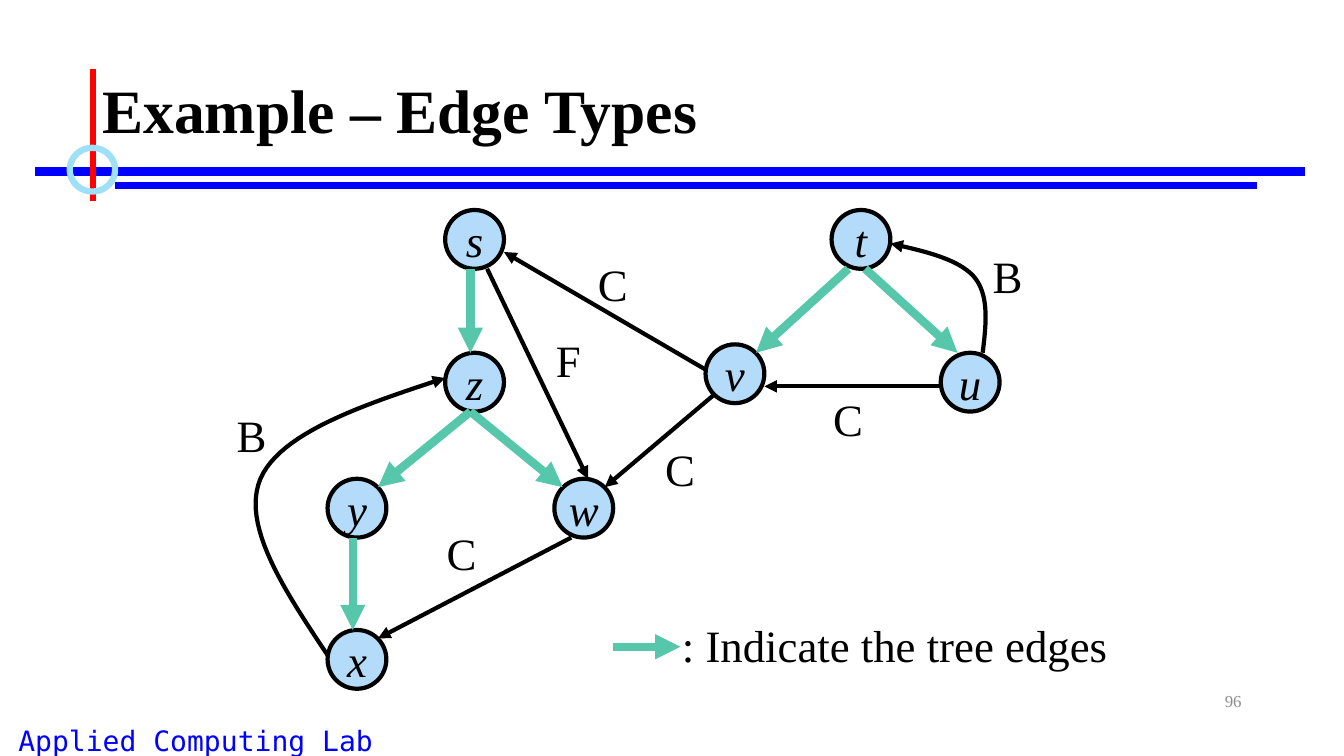
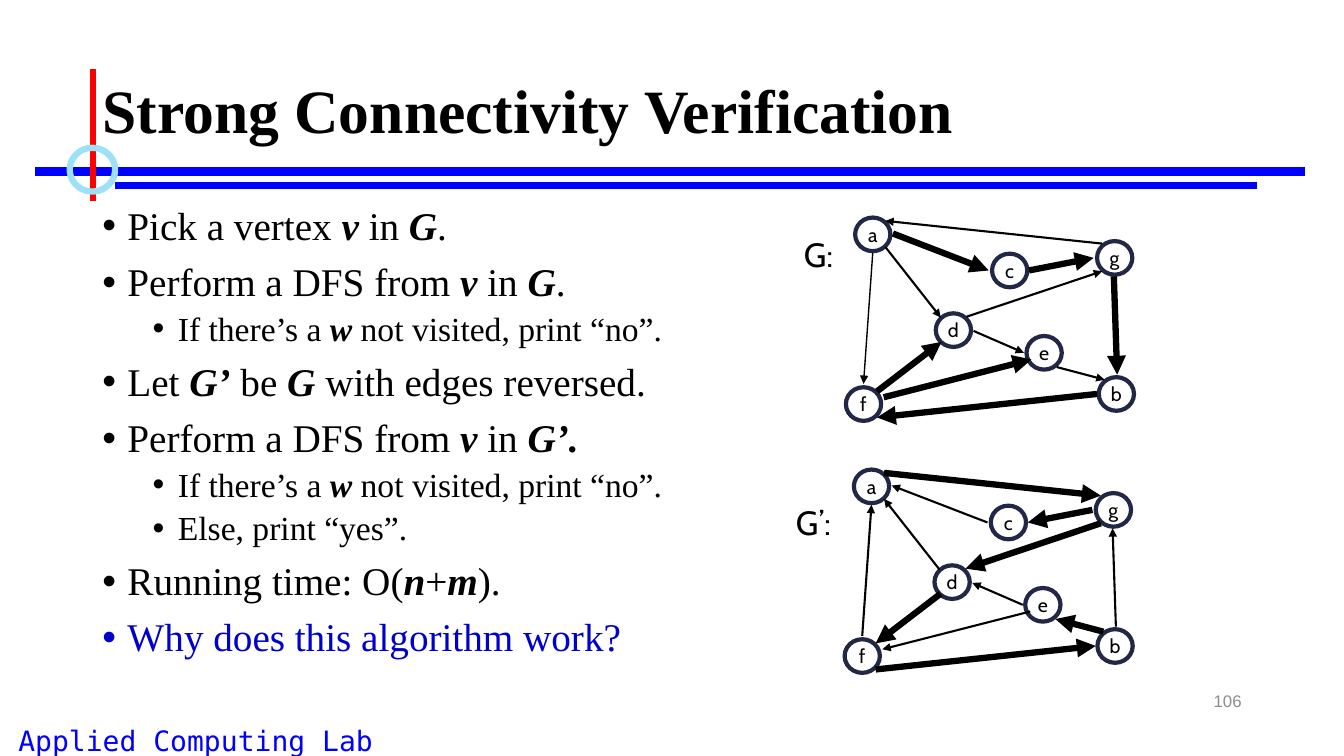
from dataclasses import dataclass

from lxml import etree
from pptx import Presentation
from pptx import util as u
from pptx.dml.color import RGBColor
from pptx.enum import shapes, text
from pptx.oxml.ns import qn


@dataclass(frozen=True)
class Theme:
    # Colours
    black: str = "000000"
    white: str = "FFFFFF"
    blue: str = "0000FF"
    red: str = "FF0000"
    ring: str = "9EE0F8"
    grey: str = "8C8C8C"
    question: str = "0000CC"
    node: str = "B4DCFA"
    tree: str = "56C7AA"
    outline: str = "212745"
    # Fonts
    serif: str = "Times New Roman"
    sans: str = "Arial"
    mono: str = "DejaVu Sans Mono"
    graph: str = "Cabin"
    # Type sizes, points
    title: int = 44
    label: int = 32
    body: int = 28
    sub: int = 24
    footer: int = 20
    small: int = 14
    number: int = 12
    # Line widths, points
    thick: float = 6
    heavy: float = 4.5
    edge: float = 3
    light: float = 1.5
    hair: float = 1


T = Theme()
COLS, ROWS = 160, 90              # grid of the slide
CELL = u.Inches(7.5) / ROWS       # one square cell
LEFT, CENTER, RIGHT = (text.PP_ALIGN.LEFT, text.PP_ALIGN.CENTER,
                       text.PP_ALIGN.RIGHT)
TOP, MIDDLE = text.MSO_ANCHOR.TOP, text.MSO_ANCHOR.MIDDLE


def grid(*cells):
    """Grid cells to slide lengths."""
    return [u.Emu(round(c * CELL)) for c in cells]


# ---- Formatting ----

def set_font(font, color=T.black, **fmt):
    for name, value in fmt.items():
        setattr(font, name, u.Pt(value) if name == "size" else value)
    font.color.rgb = RGBColor.from_string(color)


def set_line(line, color, width, arrow=False):
    line.color.rgb = RGBColor.from_string(color)
    line.width = u.Pt(width)
    if arrow:
        etree.SubElement(line._get_or_add_ln(), qn("a:tailEnd"),
                         type="triangle")


def set_frame(tf, anchor=TOP, wrap=True, fit=False):
    tf.word_wrap = wrap
    tf.vertical_anchor = anchor
    if fit:
        tf.auto_size = text.MSO_AUTO_SIZE.SHAPE_TO_FIT_TEXT


def write(p, words, align=LEFT, **fmt):
    p.alignment = align
    r = p.add_run()
    r.text = words
    set_font(r.font, **fmt)


# ---- Kinds of element ----

def add_label(s, box, words, align=LEFT, anchor=TOP, wrap=False, fit=True,
              spacing=None, **fmt):
    tf = s.shapes.add_textbox(*grid(*box)).text_frame
    set_frame(tf, anchor, wrap, fit)
    p = tf.paragraphs[0]
    p.line_spacing = spacing
    write(p, words, align, **fmt)


def add_ellipse(s, box, line, width, fill=None):
    sp = s.shapes.add_shape(shapes.MSO_SHAPE.OVAL, *grid(*box))
    sp.shadow.inherit = False
    if fill:
        sp.fill.solid()
        sp.fill.fore_color.rgb = RGBColor.from_string(fill)
    else:
        sp.fill.background()
    set_line(sp.line, line, width)
    return sp


def add_node(s, box, vertex, line, fill, **fmt):
    tf = add_ellipse(s, box, line, T.edge, fill).text_frame
    set_frame(tf, MIDDLE, wrap=False)
    write(tf.paragraphs[0], vertex, CENTER, **fmt)


def add_line(s, start, end, color, width, arrow=False):
    c = s.shapes.add_connector(shapes.MSO_CONNECTOR.STRAIGHT,
                               *grid(*start, *end))
    set_line(c.line, color, width, arrow)
    etree.SubElement(c._element.spPr, qn("a:effectLst"))


def bezier(a, b, c, d, steps=24):
    """Points after a on the cubic curve from a to d."""
    for i in range(1, steps + 1):
        t = i / steps
        weights = (1 - t) ** 3, 3 * t * (1 - t) ** 2, 3 * t * t * (1 - t), t ** 3
        yield grid(*(sum(w * v for w, v in zip(weights, axis))
                     for axis in zip(a, b, c, d)))


def add_curve(s, points):
    builder = s.shapes.build_freeform(*grid(*points[0]))
    for i in range(0, len(points) - 1, 3):
        builder.add_line_segments(bezier(*points[i:i + 4]), close=False)
    sp = builder.convert_to_shape()
    sp.shadow.inherit = False
    sp.fill.background()
    set_line(sp.line, T.black, T.edge, arrow=True)


def add_bullets(s, box, items):
    """Items are (level, words, colour); *stars* mark bold italic words."""
    tf = s.shapes.add_textbox(*grid(*box)).text_frame
    set_frame(tf)
    for i, (level, words, color) in enumerate(items):
        p = tf.add_paragraph() if i else tf.paragraphs[0]
        pPr = p._p.get_or_add_pPr()
        pPr.set("marL", str(u.Inches(0.25 + 0.5 * level)))
        pPr.set("indent", str(-u.Inches(0.25)))
        etree.SubElement(pPr, qn("a:buFont"), typeface=T.sans)
        etree.SubElement(pPr, qn("a:buChar"), char="•")
        p.level = level
        p.line_spacing = 0.9
        p.space_before = u.Pt((5 if level else 10) if i else 0)
        for j, part in enumerate(words.split("*")):
            if part:
                strong = j % 2 == 1
                write(p, part, color=color, name=T.serif, bold=strong,
                      italic=strong, size=T.sub if level else T.body)


def add_base(prs, title, number, number_font):
    """New slide with the shared rules, footer, number and title."""
    s = prs.slides.add_slide(prs.slide_layouts[6])
    add_label(s, (1, 85.5, 48, 4.5), "Applied Computing Lab", fit=False,
              name=T.mono, size=T.footer, color=T.blue)
    for start, end, color, width in (
            ((4.2, 20.4), (155.4, 20.4), T.blue, T.thick),
            ((13.7, 22.1), (149.6, 22.1), T.blue, T.heavy),
            ((11.1, 8.2), (11.1, 23.9), T.red, T.heavy)):
        add_line(s, start, end, color, width)
    add_ellipse(s, (8.3, 17.6, 5.4, 5.2), T.ring, T.heavy)
    add_label(s, (113, 81, 36, 4.8), number, RIGHT, MIDDLE, True, False,
              name=number_font, size=T.number, color=T.grey)
    add_label(s, (11, 4.8, 138, 17.4), title, LEFT, MIDDLE, True, False, 0.9,
              name=T.serif, size=T.title, bold=True)
    return s


# ---- Edge types ----

VERTICES = {"s": (53, 25), "t": (99, 25), "z": (53, 42), "y": (39, 57),
            "w": (66, 57), "v": (84, 41), "u": (112, 42), "x": (39, 75)}
OTHER_EDGES = [((68, 64), (45, 76)), ((58, 32), (70, 57)),
               ((85, 47), (72, 58)), ((112, 46), (91, 46)),
               ((84, 44), (60, 30))]
BACK_EDGES = [
    [(117, 42), (117.4, 38.6), (117.8, 35.2), (116, 33),
     (114.1, 30.8), (110, 29.9), (106, 29)],
    [(39, 78), (33.8, 70.2), (28.7, 62.5), (31, 57),
     (33.4, 51.5), (43.2, 48.2), (53, 45)]]
TREE_EDGES = [((56, 32), (56, 42)), ((56, 49), (45, 58)),
              ((56, 49), (67, 58)), ((42, 64), (42, 75)),
              ((101, 32), (90, 42)), ((103, 32), (114, 42)),
              ((73, 77), (81, 77))]    # the last one is the legend's
EDGE_LABELS = [("B", 27, 48), ("C", 52, 62), ("F", 65, 39), ("C", 78, 52),
               ("C", 70, 30), ("C", 98, 46), ("B", 117, 29)]


def edge_types(prs):
    s = add_base(prs, "Example – Edge Types", "96", T.serif)
    label = dict(name=T.serif, size=T.label)
    for vertex, at in VERTICES.items():
        add_node(s, (*at, 7, 7), vertex, T.black, T.node, italic=True, **label)
    for start, end in OTHER_EDGES:
        add_line(s, start, end, T.black, T.edge, arrow=True)
    for points in BACK_EDGES:
        add_curve(s, points)
    for start, end in TREE_EDGES:
        add_line(s, start, end, T.tree, T.thick, arrow=True)
    for kind, x, y in EDGE_LABELS:
        add_label(s, (x, y, 5.4 if kind == "F" else 6, 7.6), kind, **label)
    add_label(s, (80, 73, 53.6, 7.6), ": Indicate the tree edges", **label)


# ---- Strong connectivity ----

STEPS = [
    (0, "Pick a vertex *v* in *G*.", T.black),
    (0, "Perform a DFS from *v* in *G*.", T.black),
    (1, "If there’s a *w* not visited, print “no”.", T.black),
    (0, "Let *G’* be *G* with edges reversed.", T.black),
    (0, "Perform a DFS from *v* in *G’.*", T.black),
    (1, "If there’s a *w* not visited, print “no”.", T.black),
    (1, "Else, print “yes”.", T.black),
    (0, "Running time: O(*n*+*m*).", T.black),
    (0, "Why does this algorithm work?", T.question)]
DIGRAPH = {"a": (101.8, 25.9), "d": (111.4, 37.3), "c": (118.1, 30.2),
           "b": (130.8, 44.9), "e": (122.2, 40), "f": (100.7, 46.1),
           "g": (130.6, 28.7)}
# Start, end, width in G, width in G’
ARCS = [
    ((103.9, 30.1), (102.8, 45.7), T.hair, T.light),      # a to f
    ((104.4, 46.6), (112.1, 40.7), T.heavy, T.heavy),     # f to d
    ((106.3, 27.8), (117.7, 32.2), T.heavy, T.light),     # a to c
    ((131.2, 29), (105.4, 26.3), T.light, T.heavy),       # g to a
    ((122.5, 32.2), (130.2, 30.7), T.heavy, T.heavy),     # c to g
    ((132.6, 32.9), (133, 44.6), T.heavy, T.light),       # g to b
    ((115.9, 39.4), (121.9, 42), T.light, T.light),       # d to e
    ((125.8, 43.7), (131.5, 45.2), T.light, T.heavy),     # e to b
    ((105.2, 47.3), (122.8, 42.8), T.heavy, T.light),     # f to e
    ((130.6, 46.9), (104.4, 49.7), T.heavy, T.heavy),     # b to f
    ((115.1, 37.7), (131.2, 32.3), T.light, T.heavy),     # d to g
    ((105.4, 29.4), (112, 37.8), T.light, T.light)]       # a to d


def add_digraph(s, title, title_box, dx=0, dy=0, reverse=False):
    def move(at):
        return at[0] + dx, at[1] + dy

    add_label(s, title_box, title, CENTER, name=T.graph, size=T.sub)
    for vertex, at in DIGRAPH.items():
        add_node(s, (*move(at), 4.2, 4), vertex, T.outline, T.white,
                 name=T.graph, size=T.small)
    for start, end, width, reverse_width in ARCS:
        if reverse:
            start, end, width = end, start, reverse_width
        add_line(s, move(start), move(end), T.black, width, arrow=True)


def strong_connectivity(prs):
    s = add_base(prs, "Strong Connectivity Verification", "106", T.sans)
    add_bullets(s, (11, 24, 138, 57), STEPS)
    add_digraph(s, "G:", (94.2, 27.2, 6.5, 6))
    add_digraph(s, "G’:", (93.2, 59.2, 7.3, 6), -0.15, 30, reverse=True)


def main():
    prs = Presentation()
    prs.slide_width, prs.slide_height = grid(COLS, ROWS)
    edge_types(prs)
    strong_connectivity(prs)
    prs.save("out.pptx")


if __name__ == "__main__":
    main()
